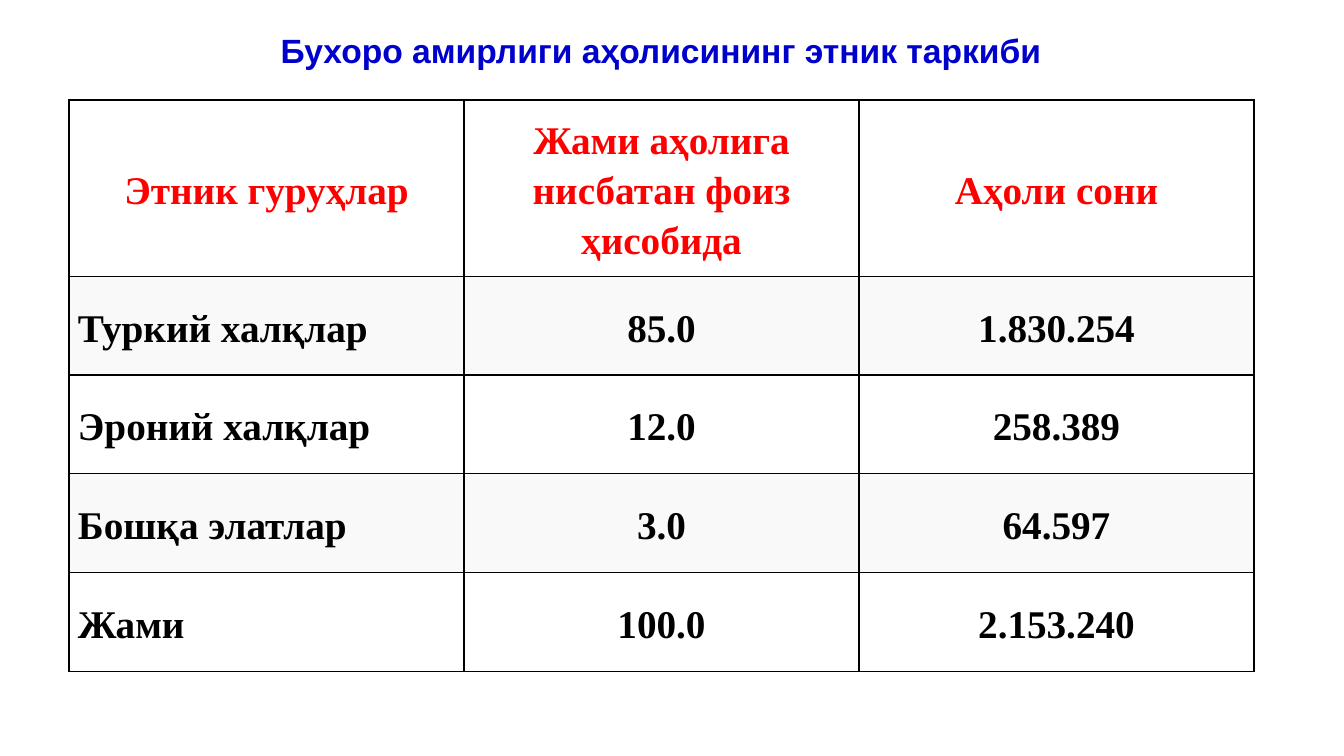
import pptx
import pptx.dml.color
import pptx.enum.text
import pptx.oxml
import pptx.oxml.ns
import pptx.util

EMU_PER_PX = 914400 / 100.8
COLORS = {
    "title": "0000CC",
    "heading": "FF0000",
    "body": "000000",
    "border": "000000",
    "band": "F9F9F9",
    "plain": "FFFFFF",
}
ROWS = [
    ["Этник гуруҳлар", "Жами аҳолига нисбатан фоиз ҳисобида", "Аҳоли сони"],
    ["Туркий халқлар", "85.0", "1.830.254"],
    ["Эроний халқлар", "12.0", "258.389"],
    ["Бошқа элатлар", "3.0", "64.597"],
    ["Жами", "100.0", "2.153.240"],
]
ALIGN = pptx.enum.text.PP_ALIGN
ANCHOR = pptx.enum.text.MSO_ANCHOR


def px(length):
    return pptx.util.Emu(round(length * EMU_PER_PX))


def rgb(name):
    return pptx.dml.color.RGBColor.from_string(COLORS[name])


def add_run(paragraph, text, font, size, color):
    run = paragraph.add_run()
    run.text = text
    run.font.name = font
    run.font.size = pptx.util.Pt(size)
    run.font.bold = True
    run.font.color.rgb = rgb(color)


def add_borders(cell):
    properties = cell._tc.get_or_add_tcPr()
    for side in ("lnL", "lnR", "lnT", "lnB"):
        properties.append(pptx.oxml.parse_xml(
            f'<a:{side} {pptx.oxml.ns.nsdecls("a")} w="12700">'
            f'<a:solidFill><a:srgbClr val="{COLORS["border"]}"/></a:solidFill>'
            f'</a:{side}>'
        ))


def add_title(slide, left, top, width, height):
    title = slide.shapes.add_textbox(px(left), px(top), px(width), px(height))
    frame = title.text_frame
    frame.word_wrap = True
    frame.auto_size = pptx.enum.text.MSO_AUTO_SIZE.SHAPE_TO_FIT_TEXT
    paragraph = frame.paragraphs[0]
    paragraph.alignment = ALIGN.CENTER
    add_run(paragraph, "Бухоро амирлиги аҳолисининг этник таркиби", "Arial", 24, "title")


def fill_cell(cell, text, row, column):
    add_borders(cell)
    cell.fill.solid()
    cell.fill.fore_color.rgb = rgb("band" if row % 2 else "plain")
    cell.vertical_anchor = ANCHOR.MIDDLE
    cell.margin_left = cell.margin_right = px(9)
    cell.margin_top = cell.margin_bottom = px(7)
    paragraph = cell.text_frame.paragraphs[0]
    paragraph.alignment = ALIGN.LEFT if row and not column else ALIGN.CENTER
    paragraph.line_spacing = 1.15
    add_run(paragraph, text, "Times New Roman", 28, "body" if row else "heading")


def add_population_table(slide, left, top, width, height, heading_height):
    frame = slide.shapes.add_table(
        len(ROWS), len(ROWS[0]), px(left), px(top), px(width), px(height))
    population = frame.table
    for column in population.columns:
        column.width = px(width / len(ROWS[0]))
    body_height = (height - heading_height) / (len(ROWS) - 1)
    for r, texts in enumerate(ROWS):
        population.rows[r].height = px(body_height if r else heading_height)
        for c, text in enumerate(texts):
            fill_cell(population.cell(r, c), text, r, c)


def main():
    deck = pptx.Presentation()
    deck.slide_width, deck.slide_height = px(1344), px(756)
    slide = deck.slides.add_slide(deck.slide_layouts[6])
    add_title(slide, 47, 25, 1228, 50)
    add_population_table(slide, 69, 100, 1185, 570, 175)
    deck.save("out.pptx")


if __name__ == "__main__":
    main()
